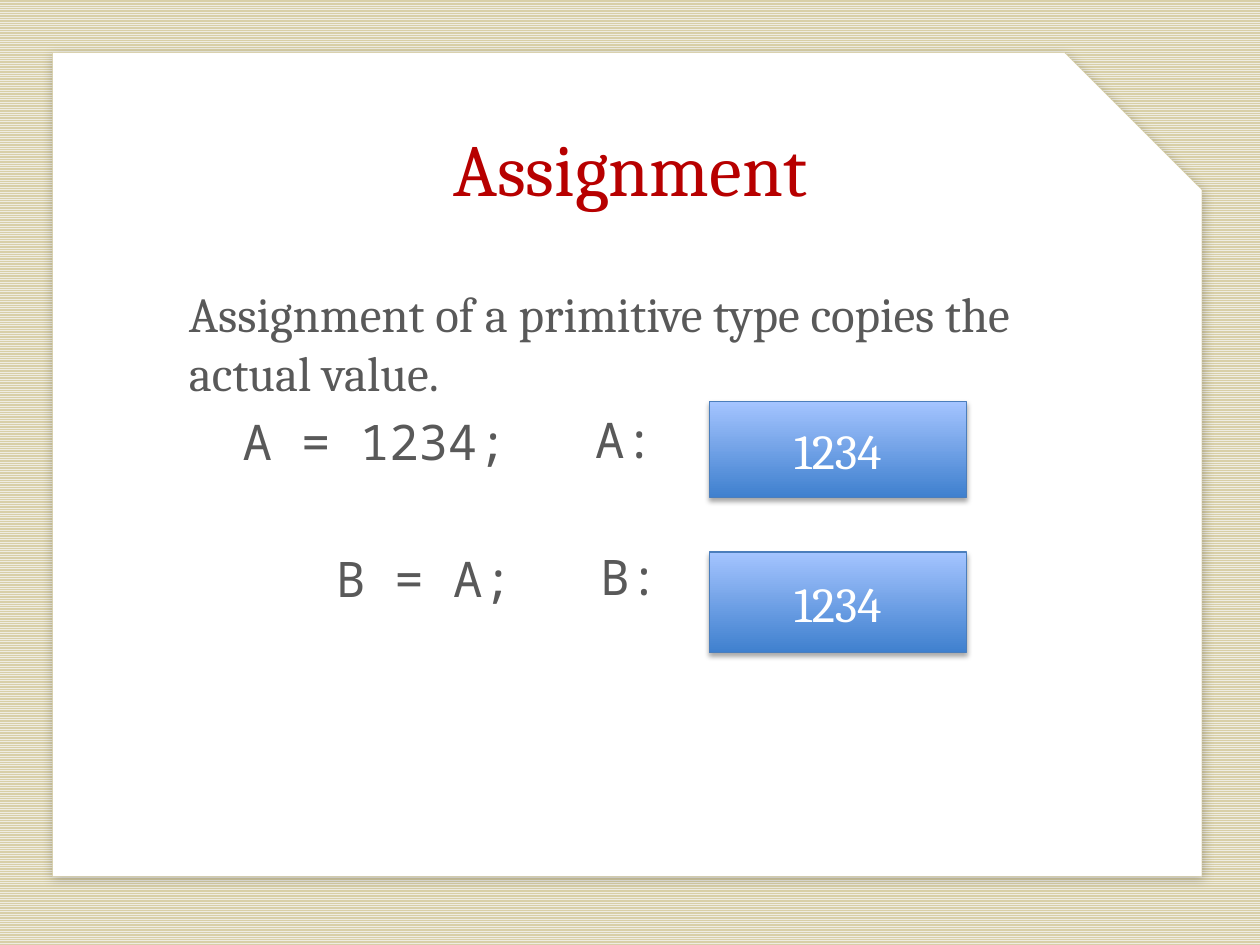
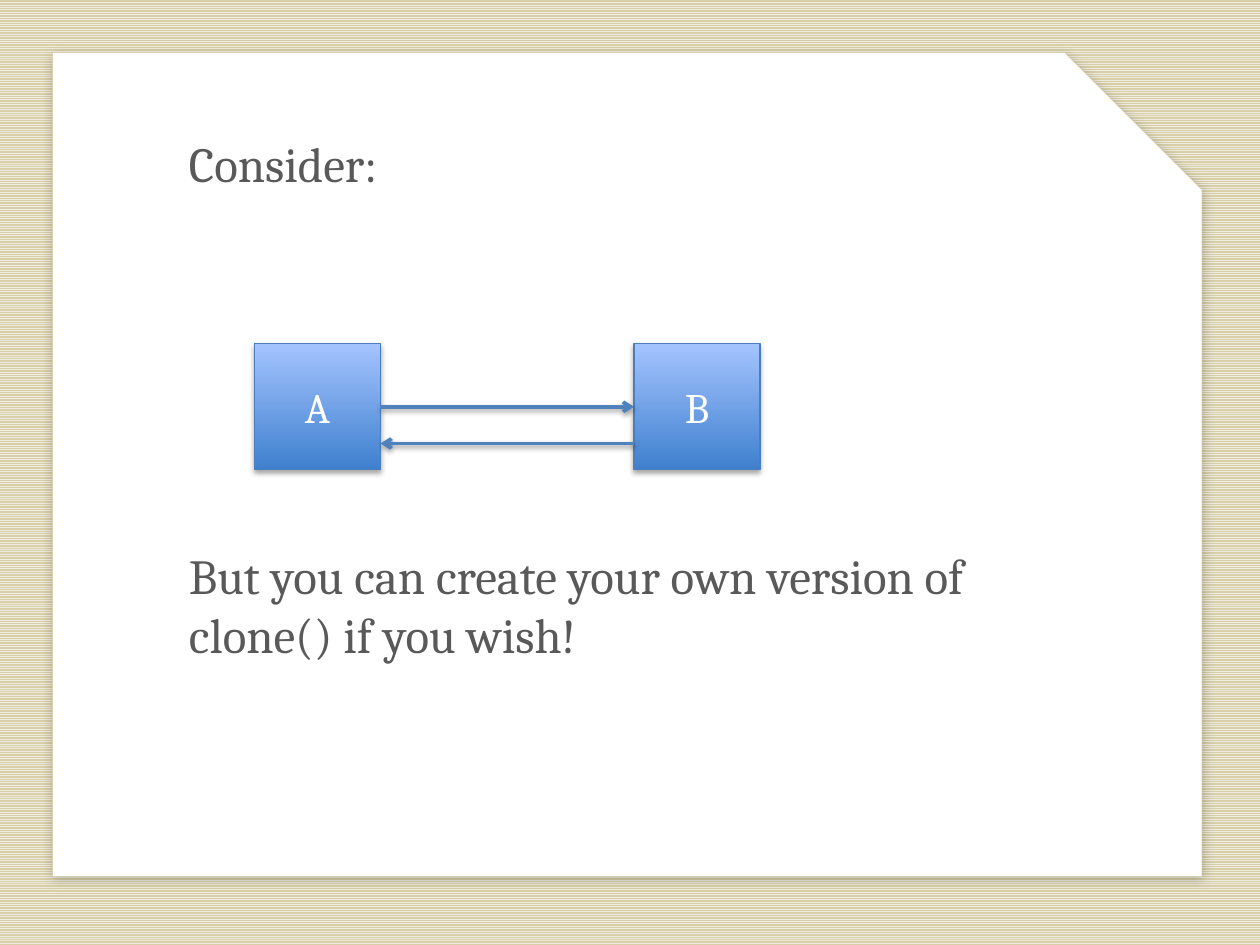
"""Builds two slides on assigning values and on objects that refer to each other."""
from dataclasses import dataclass

from lxml import etree
from pptx import Presentation
from pptx.dml.color import RGBColor
from pptx.enum.dml import MSO_PATTERN
from pptx.enum.shapes import MSO_CONNECTOR, MSO_SHAPE
from pptx.enum.text import MSO_ANCHOR, PP_ALIGN
from pptx.oxml import parse_xml
from pptx.oxml.ns import nsdecls, qn
from pptx.util import Cm, Pt

STRIPES = MSO_PATTERN.NARROW_HORIZONTAL
SNIPPED, RECTANGLE = MSO_SHAPE.SNIP_1_RECTANGLE, MSO_SHAPE.RECTANGLE
STRAIGHT = MSO_CONNECTOR.STRAIGHT
LEFT, CENTER = PP_ALIGN.LEFT, PP_ALIGN.CENTER
TOP, MIDDLE = MSO_ANCHOR.TOP, MSO_ANCHOR.MIDDLE
LEFT_SIDE, RIGHT_SIDE = 1, 3
MARGINS = ("margin_left", "margin_top", "margin_right", "margin_bottom")


@dataclass(frozen=True)
class Theme:
    """Colours, fonts, type sizes and shadows of the deck."""
    stripe: str = "EEECE1"
    sand: str = "D8CFA7"
    paper: str = "FFFFFF"
    title: str = "B70000"
    body: str = "595959"
    box_bottom: str = "3F80CE"
    box_top: str = "A4C4FF"
    box_edge: str = "4B7EBC"
    arrow: str = "4F81BD"
    serif: str = "Cambria"
    mono: str = "Noto Sans Mono"
    title_size: float = 42
    body_size: float = 28
    node_size: float = 24
    space: float = 5.6
    paper_shadow: tuple = (22, 6, 2, 80)
    box_shadow: tuple = (35, 3.1, 1.8, 90)
    arrow_shadow: tuple = (38, 3.1, 1.6, 90)


def rgb(color):
    """Turn a hex string into a colour."""
    return RGBColor.from_string(color)


class Deck:
    """Holds the style and the current slide."""

    def __init__(self, theme):
        """Start an empty 4:3 presentation."""
        self.theme = theme
        self.prs = Presentation()
        self.prs.slide_width, self.prs.slide_height = Cm(25.4), Cm(19.05)
        self.slide = None

    def new_slide(self):
        """Add a slide with the striped ground and the snipped paper."""
        theme = self.theme
        self.slide = self.prs.slides.add_slide(self.prs.slide_layouts[6])
        ground = self.slide.background.fill
        ground.patterned()
        ground.pattern = STRIPES
        ground.fore_color.rgb, ground.back_color.rgb = rgb(theme.stripe), rgb(theme.sand)
        paper = self.shape(SNIPPED, (1.06, 1.06, 23.17, 16.61), theme.sand, 0.25, theme.paper_shadow)
        paper.fill.solid()
        paper.fill.fore_color.rgb = rgb(theme.paper)

    def shape(self, preset, place, edge, width, shadow):
        """Add an outlined preset shape with a shadow."""
        shape = self.slide.shapes.add_shape(preset, *map(Cm, place))
        shape.line.color.rgb, shape.line.width = rgb(edge), Pt(width)
        self.shadow(shape, shadow)
        return shape

    def shadow(self, shape, values):
        """Give a shape or connector an outer shadow."""
        opacity, blur, distance, angle = values
        properties = shape._element.spPr
        for old in properties.findall(qn("a:effectLst")):
            properties.remove(old)
        properties.append(parse_xml(
            f'<a:effectLst {nsdecls("a")}><a:outerShdw blurRad="{Pt(blur)}" dist="{Pt(distance)}" '
            f'dir="{angle * 60000}" rotWithShape="0"><a:srgbClr val="000000">'
            f'<a:alpha val="{opacity * 1000}"/></a:srgbClr></a:outerShdw></a:effectLst>'))

    def add_text(self, paragraph, text, size, color, font=None, **layout):
        """Fill one paragraph with a styled run."""
        run = paragraph.add_run()
        run.text = text
        for name, value in {"name": font or self.theme.serif, "size": Pt(size)}.items():
            setattr(run.font, name, value)
        run.font.color.rgb = rgb(color)
        for name, value in layout.items():
            setattr(paragraph, name, value)

    def frame(self, place, anchor=TOP):
        """Add a wrapping text box without margins."""
        frame = self.slide.shapes.add_textbox(*map(Cm, place)).text_frame
        for name, value in {"word_wrap": True, "vertical_anchor": anchor,
                            **dict.fromkeys(MARGINS, 0)}.items():
            setattr(frame, name, value)
        return frame

    def title(self, text):
        """Add the centred slide title."""
        frame = self.frame((1.9, 1.96, 21.6, 2.82), MIDDLE)
        self.add_text(frame.paragraphs[0], text, self.theme.title_size, self.theme.title,
                      alignment=CENTER)

    def body(self, place, lines):
        """Add lines of (text, font, space before, indent in cm)."""
        frame = self.frame(place)
        for index, (text, font, before, indent) in enumerate(lines):
            paragraph = frame.add_paragraph() if index else frame.paragraphs[0]
            self.add_text(paragraph, text, self.theme.body_size, self.theme.body, font,
                          alignment=LEFT, space_before=Pt(before))
            paragraph._p.get_or_add_pPr().set("marL", str(Cm(indent)))

    def box(self, place, text, size):
        """Add a gradient box with centred text."""
        theme = self.theme
        box = self.shape(RECTANGLE, place, theme.box_edge, 0.75, theme.box_shadow)
        box.fill.gradient()
        box.fill.gradient_angle = 90
        for stop, (position, color) in zip(box.fill.gradient_stops,
                                           ((0, theme.box_bottom), (1, theme.box_top))):
            stop.position, stop.color.rgb = position, rgb(color)
        box.text_frame.vertical_anchor = MIDDLE
        self.add_text(box.text_frame.paragraphs[0], text, size, theme.paper, alignment=CENTER)
        return box

    def arrow(self, start_x, end_x, y):
        """Add a horizontal arrow."""
        arrow = self.slide.shapes.add_connector(STRAIGHT, *map(Cm, (start_x, y, end_x, y)))
        arrow.line.color.rgb, arrow.line.width = rgb(self.theme.arrow), Pt(2)
        etree.SubElement(arrow.line._get_or_add_ln(), qn("a:tailEnd"), type="arrow")
        self.shadow(arrow, self.theme.arrow_shadow)
        return arrow


def assignment(deck):
    """Show that assigning a primitive copies its value."""
    theme = deck.theme
    deck.new_slide()
    deck.title("Assignment")
    deck.body((3.81, 5.72, 17.78, 9.3), [
        ("Assignment of a primitive type copies the actual value.", theme.serif, theme.space, 0),
        ("A = 1234;", theme.mono, theme.space, 1.08),
        ("B = A;", theme.mono, 45, 2.96)])
    for label, label_x, label_y, box_y, height in (("A:", 12, 8.25, 8.1, 1.93),
                                                   ("B:", 12.1, 11.01, 11.13, 2.03)):
        deck.body((label_x, label_y, 2, 1.4), [(label, theme.mono, 0, 0)])
        deck.box((14.3, box_y, 5.18, height), "1234", theme.body_size)


def consider(deck):
    """Show two objects that refer to each other."""
    theme = deck.theme
    side, top, a_left, b_left = 2.54, 6.93, 5.13, 12.78
    deck.new_slide()
    deck.body((3.81, 2.69, 17.78, 12.29), [
        ("Consider:", theme.serif, theme.space, 0),
        ("But you can create your own version of clone() if you wish!", theme.serif, 202, 0)])
    node_a, node_b = (deck.box((left, top, side, side), name, theme.node_size)
                      for name, left in (("A", a_left), ("B", b_left)))
    forward = deck.arrow(a_left + side, b_left, top + side / 2)
    forward.begin_connect(node_a, RIGHT_SIDE)
    forward.end_connect(node_b, LEFT_SIDE)
    deck.arrow(b_left, a_left + side, 8.94)


def main():
    """Build and save the deck."""
    deck = Deck(Theme())
    assignment(deck)
    consider(deck)
    deck.prs.save("out.pptx")


if __name__ == "__main__":
    main()
